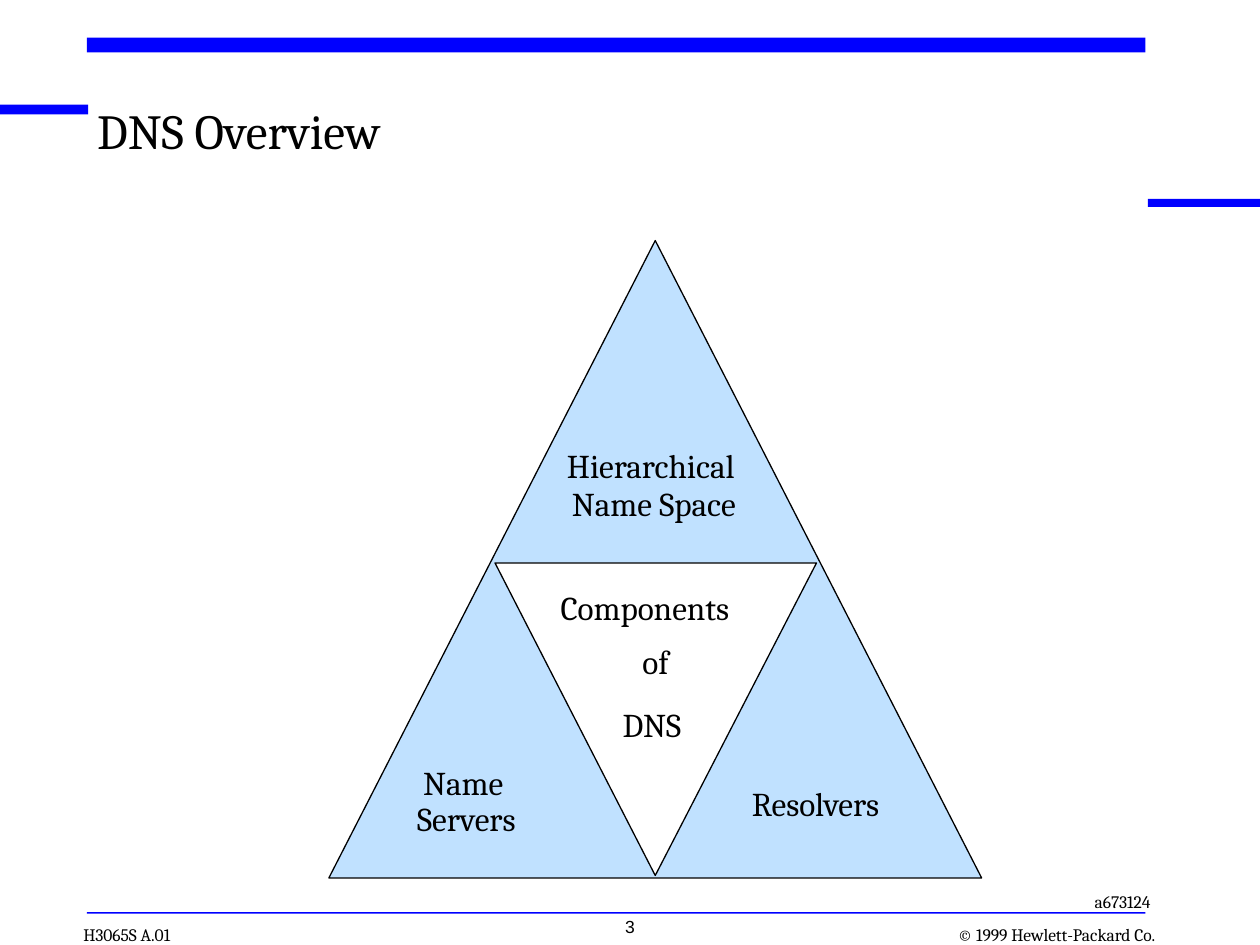
from typing import NamedTuple

from pptx import Presentation
from pptx.dml.color import RGBColor
from pptx.enum.shapes import MSO_SHAPE as Shape
from pptx.enum.text import MSO_ANCHOR as Anchor, MSO_AUTO_SIZE as AutoSize, PP_ALIGN as Align
from pptx.util import Cm, Pt

INK, BLUE, PALE, WHITE = "000000", "0000FF", "C0E1FF", "FFFFFF"
SERIF, SANS = "Cambria", "Arial"
LABEL_HEIGHT = 0.81
MID_X = 13.21


class Box(NamedTuple):
    left: float
    top: float
    width: float
    height: float


class Note(NamedTuple):
    text: str
    box: Box
    size: float = 10
    font: str = SERIF
    align: Align = Align.LEFT
    anchor: Anchor = Anchor.TOP
    inset: tuple[float, float] = (0, 0)
    wrap: bool = False


class Triangle(NamedTuple):
    points: list[tuple[float, float]]
    fill: str


BARS = [
    Box(0, 2.11, 1.78, 0.2),
    Box(1.75, 0.76, 21.34, 0.3),
    Box(23.14, 4.01, 2.26, 0.16),
    Box(1.75, 18.39, 21.34, 0.03),
]

TRIANGLES = [
    Triangle([(MID_X, 4.85), (19.79, 17.7), (6.63, 17.7)], PALE),
    Triangle([(16.46, 11.35), (MID_X, 17.65), (9.98, 11.35)], WHITE),
]

# text, left, top, width
LABELS = [
    ("Hierarchical", 11.43, 8.97, 3.76),
    ("Name Space", 11.53, 9.75, 3.91),
    ("Components", 11.3, 11.84, 4.04),
    ("of", 12.95, 12.93, 0.64),
    ("DNS", 12.55, 14.2, 1.37),
    ("Resolvers", 15.16, 15.8, 3),
    ("Name", 8.53, 15.37, 1.88),
    ("Servers", 8.41, 16.1, 2.34),
]

PADDED = (0.25, 0.13)
FOOTERS = [
    Note("© 1999 Hewlett-Packard Co.", Box(18.67, 18.62, 4.62, 0.43),
         align=Align.RIGHT, anchor=Anchor.BOTTOM),
    Note("H3065S A.01", Box(1.68, 18.62, 2.08, 0.43), anchor=Anchor.BOTTOM),
    Note("a673124", Box(21.54, 17.83, 1.9, 0.69), align=Align.RIGHT, inset=PADDED),
    Note("3", Box(10.06, 18.34, 5.28, 0.84), font=SANS, align=Align.CENTER,
         inset=PADDED, wrap=True),
]


def rgb(value: str) -> RGBColor:
    return RGBColor.from_string(value)


def cm(values) -> list[Cm]:
    return [Cm(v) for v in values]


def write(tf, note: Note):
    tf.word_wrap = note.wrap
    tf.auto_size = AutoSize.NONE if note.wrap else AutoSize.SHAPE_TO_FIT_TEXT
    tf.vertical_anchor = note.anchor
    tf.margin_left = tf.margin_right = Cm(note.inset[0])
    tf.margin_top = tf.margin_bottom = Cm(note.inset[1])
    p = tf.paragraphs[0]
    p.alignment = note.align
    r = p.add_run()
    r.text = note.text
    r.font.size, r.font.name = Pt(note.size), note.font
    r.font.color.rgb = rgb(INK)
    return p


def add_note(s, note: Note) -> None:
    write(s.shapes.add_textbox(*cm(note.box)).text_frame, note)


def add_title(s, note: Note) -> None:
    sp = s.shapes.title
    sp.left, sp.top, sp.width, sp.height = cm(note.box)
    write(sp.text_frame, note).line_spacing = 0.85


def add_bar(s, box: Box) -> None:
    sp = s.shapes.add_shape(Shape.RECTANGLE, *cm(box))
    sp.shadow.inherit = False
    sp.fill.solid()
    sp.fill.fore_color.rgb = rgb(BLUE)
    sp.line.fill.background()


def add_triangle(s, triangle: Triangle) -> None:
    start, *rest = [cm(point) for point in triangle.points]
    builder = s.shapes.build_freeform(*start)
    builder.add_line_segments(rest, close=True)
    sp = builder.convert_to_shape()
    sp.shadow.inherit = False
    sp.fill.solid()
    sp.fill.fore_color.rgb = rgb(triangle.fill)
    sp.line.color.rgb = rgb(INK)
    sp.line.width = Pt(0.75)


def main() -> None:
    prs = Presentation()
    prs.slide_width, prs.slide_height = Cm(25.4), Cm(19.05)
    s = prs.slides.add_slide(prs.slide_layouts[5])
    add_title(s, Note("DNS Overview", Box(1.96, 2.21, 20.5, 1.7), size=28, wrap=True))
    for bar in BARS:
        add_bar(s, bar)
    for triangle in TRIANGLES:
        add_triangle(s, triangle)
    for text, left, top, width in LABELS:
        add_note(s, Note(text, Box(left, top, width, LABEL_HEIGHT), size=19))
    for footer in FOOTERS:
        add_note(s, footer)
    prs.save("out.pptx")


if __name__ == "__main__":
    main()
